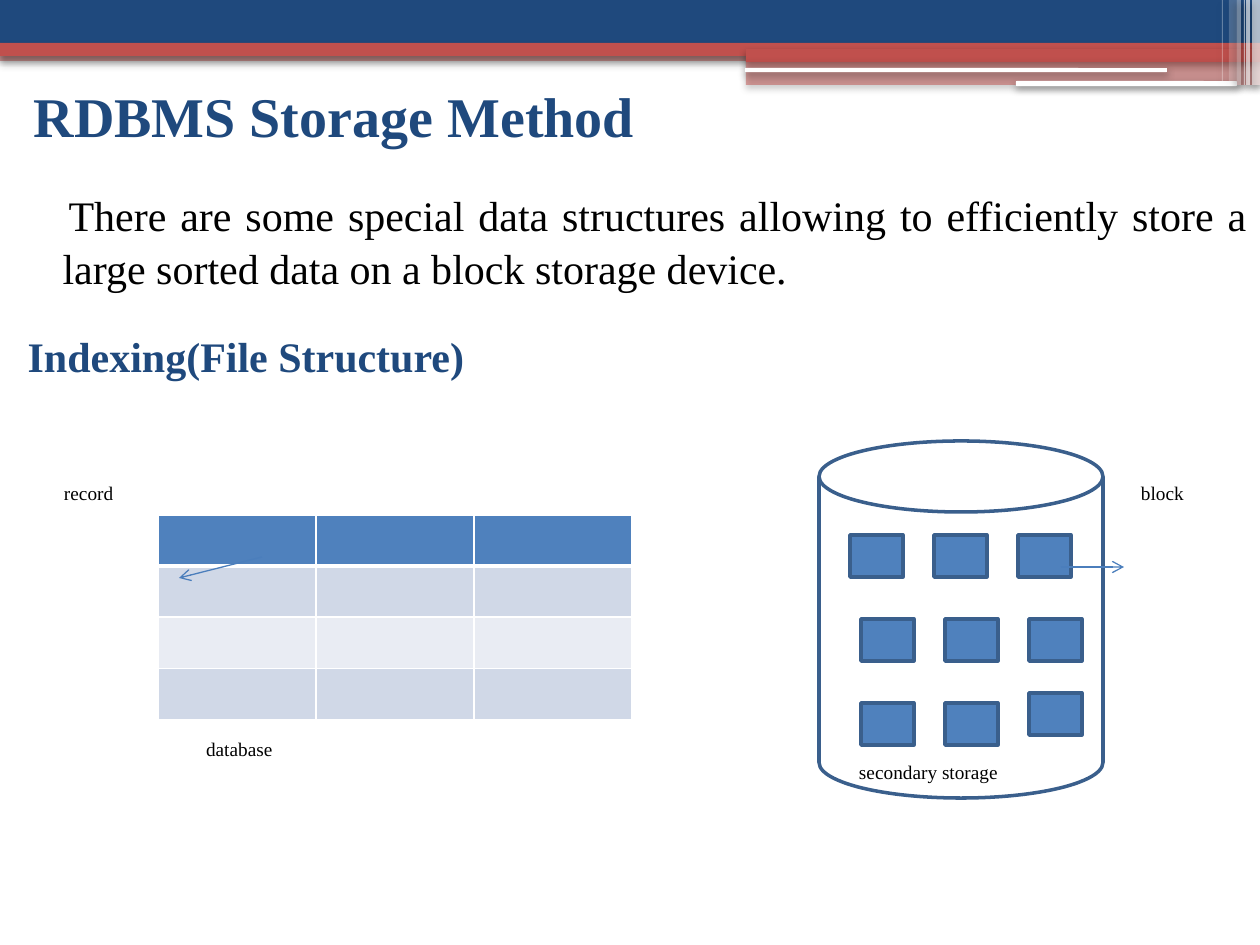
from dataclasses import dataclass

from lxml.etree import SubElement
from pptx import Presentation
from pptx.dml.color import RGBColor
from pptx.enum.shapes import MSO_CONNECTOR, MSO_SHAPE
from pptx.enum.text import MSO_ANCHOR, MSO_AUTO_SIZE, PP_ALIGN
from pptx.oxml.ns import qn
from pptx.util import Emu, Pt


@dataclass(frozen=True)
class Theme:
    font: str = "Times New Roman"
    navy: str = "1F497D"
    red: str = "C0504D"
    white: str = "FFFFFF"
    black: str = "000000"
    blue: str = "4F81BD"
    outline: str = "3A5F8C"
    arrow: str = "4B7EBC"
    band_dark: str = "D0D8E7"
    band_light: str = "E9ECF3"
    title_size: int = 32
    body_size: int = 24
    label_size: int = 11


THEME = Theme()
EMU_PER_PX = 914400 / 126

TITLE = "RDBMS Storage Method"
INTRO = ("There are some special data structures allowing to efficiently store a "
         "large sorted data on a block storage device.")
HEADING = "Indexing(File Structure)"
LABELS = [
    ("record", 64, 481),
    ("block", 1141, 481),
    ("database", 206, 737),
    ("secondary storage", 859, 760),
]
BANNER_BARS = [
    (0, 50, 1260, 11, THEME.red, 50),
    (0, 0, 1260, 43, THEME.navy, 100),
    (0, 43, 1260, 13, THEME.red, 100),
    (746, 49, 514, 13, THEME.red, 100),
    (746, 60, 514, 25, THEME.red, 50),
]
BANNER_RULES = [(745, 68, 422, 4, THEME.white, 100), (1016, 81, 221, 5, THEME.white, 100)]
BANNER_STRIPES = [
    (1252, 0, 8, 85, THEME.white, 66),
    (1246, 0, 4, 85, THEME.white, 66),
    (1244, 0, 1, 85, THEME.white, 60),
    (1237, 0, 4, 85, THEME.white, 40),
    (1229, 0, 8, 81, THEME.white, 20),
    (1222, 0, 1, 81, THEME.white, 31),
]
TABLE_ROW_FILLS = [THEME.blue, THEME.band_dark, THEME.band_light, THEME.band_dark]
TABLE_COLUMNS = 3
TABLE_LEFT, TABLE_TOP, COLUMN_WIDTH, ROW_HEIGHT = 158, 515, 158, 51
CYLINDER = (819, 441, 284, 357)
BLOCK_WIDTH, BLOCK_HEIGHT, BLOCK_STEP = 53, 42, 84
BLOCK_ROWS = [(850, 535, 3), (861, 619, 3), (861, 703, 2), (1029, 693, 1)]
ARROWS = [(1061, 567, 1124, 567), (262, 557, 179, 578)]


def px(value):
    return Emu(round(value * EMU_PER_PX))


def color(value):
    return RGBColor.from_string(value)


def place(shape, left, top, width, height):
    shape.left, shape.top, shape.width, shape.height = map(px, (left, top, width, height))


def write(para, text, size, ink, bold=False):
    para.text = text
    for span in para.runs:
        span.font.name = THEME.font
        span.font.size = Pt(size)
        span.font.bold = bold
        span.font.color.rgb = color(ink)


def add_box(page, kind, bounds, fill=None, line=None):
    box = page.shapes.add_shape(kind, *map(px, bounds))
    box.shadow.inherit = False
    if fill:
        box.fill.solid()
        box.fill.fore_color.rgb = color(fill)
    else:
        box.fill.background()
    if line:
        box.line.color.rgb = color(line)
        box.line.width = Pt(2)
    else:
        box.line.fill.background()
    return box


def add_alpha(color_element, percent):
    SubElement(color_element, qn("a:alpha"), val=str(percent * 1000))


def add_banner_part(page, kind, left, top, width, height, fill, opacity):
    box = add_box(page, kind, (left, top, width, height), fill)
    properties = box._element.spPr
    if opacity < 100:
        add_alpha(properties.find(f"{qn('a:solidFill')}/{qn('a:srgbClr')}"), opacity)
    shadow = SubElement(properties.find(qn("a:effectLst")), qn("a:outerShdw"),
                        blurRad=str(Pt(4.1)), dist=str(Pt(2)), dir="5400000", rotWithShape="0")
    add_alpha(SubElement(shadow, qn("a:srgbClr"), val=THEME.black), 40)


def add_banner(page):
    for kind, parts in ((MSO_SHAPE.RECTANGLE, BANNER_BARS),
                        (MSO_SHAPE.ROUNDED_RECTANGLE, BANNER_RULES),
                        (MSO_SHAPE.RECTANGLE, BANNER_STRIPES)):
        for part in parts:
            add_banner_part(page, kind, *part)


def fill_placeholders(page):
    title, body = page.placeholders
    for placeholder in (title, body):
        page.shapes._spTree.append(placeholder._element)
        placeholder.text_frame.auto_size = MSO_AUTO_SIZE.NONE
    place(title, 21, 63, 1207, 105)
    title.text_frame.vertical_anchor = MSO_ANCHOR.MIDDLE
    title_para = title.text_frame.paragraphs[0]
    title_para.alignment = PP_ALIGN.LEFT
    write(title_para, TITLE, THEME.title_size, THEME.navy, True)

    place(body, 0, 181, 1260, 764)
    intro = body.text_frame.paragraphs[0]
    heading = body.text_frame.add_paragraph()
    write(intro, INTRO, THEME.body_size, THEME.black)
    write(heading, HEADING, THEME.body_size, THEME.navy, True)
    for para, alignment, margin, indent, before in (
            (intro, PP_ALIGN.JUSTIFY, 50, 6, 0), (heading, PP_ALIGN.LEFT, 50, -35, 20)):
        para.alignment = alignment
        para.line_spacing = 1.05
        para.space_before = Pt(before)
        properties = para._p.get_or_add_pPr()
        properties.set("marL", str(px(margin)))
        properties.set("indent", str(px(indent)))
        SubElement(properties, qn("a:buNone"))


def add_label(page, text, left, top):
    box = page.shapes.add_textbox(px(left), px(top), px(160), px(22))
    frame = box.text_frame
    frame.word_wrap = True
    frame.margin_left = frame.margin_top = frame.margin_right = frame.margin_bottom = 0
    write(frame.paragraphs[0], text, THEME.label_size, THEME.black)


def style_cell(cell, fill, is_header):
    properties = cell._tc.get_or_add_tcPr()
    for side in ("lnL", "lnR", "lnT", "lnB"):
        width = 3 if is_header and side == "lnB" else 0.96
        border = SubElement(properties, qn(f"a:{side}"), w=str(Pt(width)))
        SubElement(SubElement(border, qn("a:solidFill")), qn("a:srgbClr"), val=THEME.white)
    cell.fill.solid()
    cell.fill.fore_color.rgb = color(fill)


def add_database(page):
    rows = len(TABLE_ROW_FILLS)
    table = page.shapes.add_table(rows, TABLE_COLUMNS, px(TABLE_LEFT), px(TABLE_TOP),
                                  px(COLUMN_WIDTH * TABLE_COLUMNS), px(ROW_HEIGHT * rows)).table
    for row_index, fill in enumerate(TABLE_ROW_FILLS):
        for cell in table.rows[row_index].cells:
            style_cell(cell, fill, row_index == 0)


def add_storage(page):
    add_box(page, MSO_SHAPE.CAN, CYLINDER, line=THEME.outline)
    for left, top, count in BLOCK_ROWS:
        for index in range(count):
            bounds = (left + index * BLOCK_STEP, top, BLOCK_WIDTH, BLOCK_HEIGHT)
            add_box(page, MSO_SHAPE.RECTANGLE, bounds, THEME.blue, THEME.outline)


def add_arrow(page, ends):
    arrow = page.shapes.add_connector(MSO_CONNECTOR.STRAIGHT, *map(px, ends))
    arrow.line.color.rgb = color(THEME.arrow)
    arrow.line.width = Pt(0.75)
    SubElement(arrow.line._get_or_add_ln(), qn("a:tailEnd"), type="arrow")
    SubElement(arrow._element.spPr, qn("a:effectLst"))


def main():
    deck = Presentation()
    deck.slide_width, deck.slide_height = px(1260), px(945)
    page = deck.slides.add_slide(deck.slide_layouts[1])
    add_banner(page)
    fill_placeholders(page)
    add_database(page)
    add_storage(page)
    for label in LABELS:
        add_label(page, *label)
    for ends in ARROWS:
        add_arrow(page, ends)
    deck.save("out.pptx")


if __name__ == "__main__":
    main()
